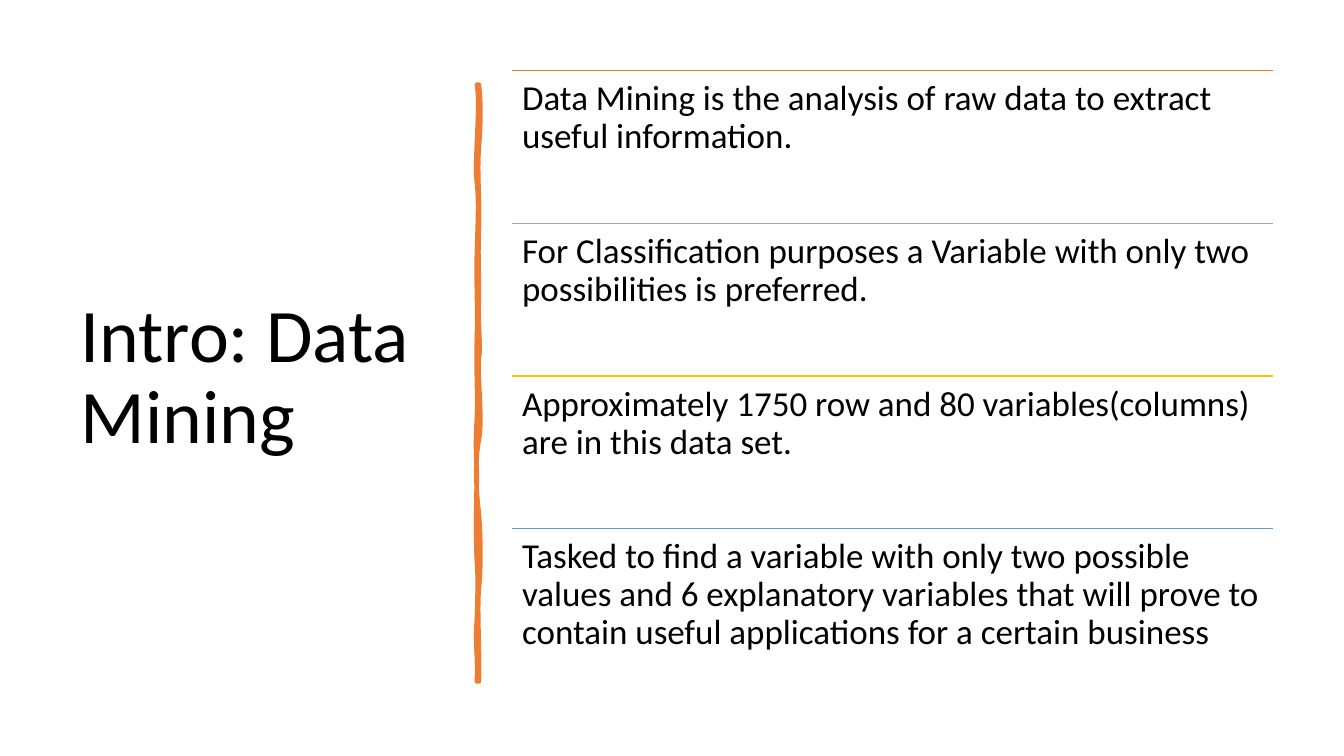
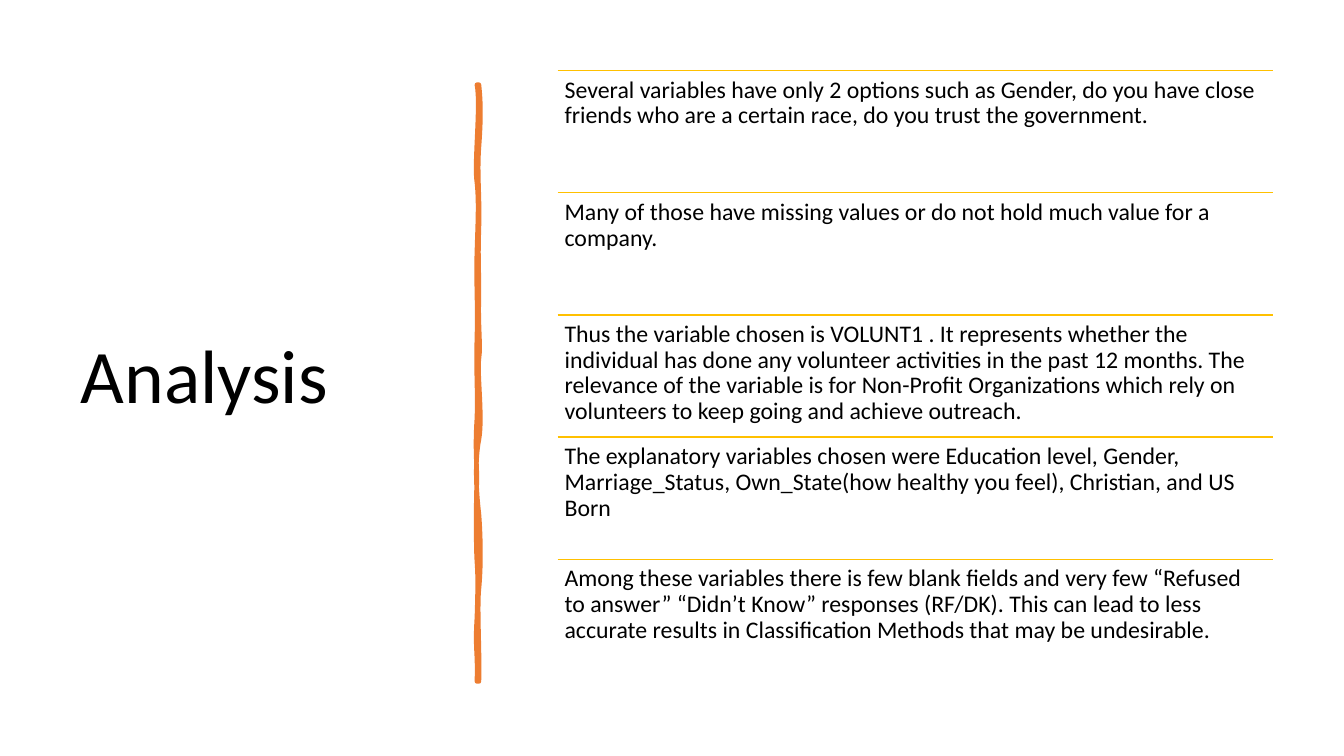
from lxml.etree import SubElement
from pptx import Presentation
from pptx.dml.color import RGBColor
from pptx.enum.shapes import MSO_CONNECTOR
from pptx.enum.text import MSO_ANCHOR, MSO_AUTO_SIZE, PP_ALIGN
from pptx.oxml.ns import qn
from pptx.util import Inches, Pt

FONT = "Calibri"
BLACK, ORANGE, GRAY, GOLD, BLUE = "000000", "ED7D31", "A5A5A5", "FFC000", "5B9BD5"
LIST_TOP, LIST_RIGHT, LIST_HEIGHT = 0.7, 12.63, 6.06

SLIDES = [
    {
        "title": "Intro: Data Mining",
        "left": 5.08, "size": 25, "inset": 0.1,
        "rows": [
            (ORANGE, "Data Mining is the analysis of raw data to extract useful information."),
            (GRAY, "For Classification purposes a Variable with only two possibilities is preferred."),
            (GOLD, "Approximately 1750 row and 80 variables(columns) are in this data set."),
            (BLUE, "Tasked to find a variable with only two possible values and 6 explanatory "
                   "variables that will prove to contain useful applications for a certain business"),
        ],
    },
    {
        "title": "Analysis",
        "left": 5.53, "size": 17, "inset": 0.07,
        "rows": [
            (GOLD, "Several variables have only 2 options such as Gender, do you have close "
                   "friends who are a certain race, do you trust the government."),
            (GOLD, "Many of those have missing values or do not hold much value for a company."),
            (GOLD, "Thus the variable chosen is VOLUNT1 . It represents whether the individual "
                   "has done any volunteer activities in the past 12 months. The relevance of the "
                   "variable is for Non-Profit Organizations which rely on volunteers to keep going "
                   "and achieve outreach."),
            (GOLD, "The explanatory variables chosen were Education level, Gender, Marriage_Status, "
                   "Own_State(how healthy you feel), Christian, and US Born"),
            (GOLD, "Among these variables there is few blank fields and very few “Refused to answer” "
                   "“Didn’t Know” responses (RF/DK). This can lead to less accurate results in "
                   "Classification Methods that may be undesirable."),
        ],
    },
]

BRUSH_START = (4.75, 0.84)
BRUSH_CURVES = [
    ((4.77, 1.02), (4.77, 1.19), (4.75, 1.46)),
    ((4.73, 1.73), (4.76, 1.95), (4.75, 2.26)),
    ((4.74, 2.57), (4.75, 2.62), (4.75, 2.94)),
    ((4.74, 3.25), (4.77, 3.42), (4.75, 3.56)),
    ((4.73, 3.7), (4.79, 4.14), (4.75, 4.36)),
    ((4.71, 4.57), (4.72, 4.84), (4.75, 5.1)),
    ((4.77, 5.36), (4.77, 5.64), (4.75, 5.84)),
    ((4.73, 6.03), (4.76, 6.5), (4.75, 6.76)),
    ((4.74, 6.76), (4.73, 6.76), (4.73, 6.76)),
    ((4.74, 6.46), (4.71, 6.44), (4.73, 6.13)),
    ((4.74, 5.83), (4.74, 5.7), (4.73, 5.57)),
    ((4.72, 5.44), (4.72, 4.95), (4.73, 4.77)),
    ((4.73, 4.59), (4.71, 4.45), (4.73, 4.15)),
    ((4.74, 3.86), (4.72, 3.73), (4.73, 3.35)),
    ((4.74, 2.98), (4.72, 2.81), (4.73, 2.5)),
    ((4.74, 2.18), (4.75, 2), (4.73, 1.81)),
    ((4.7, 1.63), (4.77, 1.04), (4.73, 0.84)),
]


def color(value):
    return RGBColor.from_string(value)


def to_emu(point):
    return tuple(Inches(value) for value in point)


def style_text(paragraph, size):
    paragraph.alignment = PP_ALIGN.LEFT
    paragraph.line_spacing = 0.9
    paragraph.font.name = FONT
    paragraph.font.size = Pt(size)
    paragraph.font.color.rgb = color(BLACK)


def add_title(page, text):
    title = page.shapes.title
    title.left, title.top = Inches(0.7), Inches(0.7)
    title.width, title.height = Inches(3.74), Inches(6.11)
    frame = title.text_frame
    frame.text = text
    frame.word_wrap = True
    frame.auto_size = MSO_AUTO_SIZE.NONE
    frame.vertical_anchor = MSO_ANCHOR.MIDDLE
    style_text(frame.paragraphs[0], 54)


def bend_segments(shape, curves):
    segments = list(shape._element.iter(qn("a:lnTo")))
    for segment, curve in zip(segments, curves):
        segment.tag = qn("a:cubicBezTo")
        for old_point in list(segment):
            segment.remove(old_point)
        for x, y in map(to_emu, curve):
            SubElement(segment, qn("a:pt"), x=str(x - shape.left), y=str(y - shape.top))


def add_brush_stroke(page):
    builder = page.shapes.build_freeform(*to_emu(BRUSH_START))
    builder.add_line_segments([to_emu(curve[-1]) for curve in BRUSH_CURVES], close=True)
    stroke = builder.convert_to_shape()
    bend_segments(stroke, BRUSH_CURVES)
    stroke.shadow.inherit = False
    stroke.fill.solid()
    stroke.fill.fore_color.rgb = color(ORANGE)
    stroke.line.color.rgb = color(ORANGE)
    stroke.line.width = Pt(3.25)
    outline = stroke.line._get_or_add_ln()
    outline.set("cap", "rnd")
    SubElement(outline, qn("a:round"))


def add_row(page, content, top, height, rule_color, text):
    left, right = Inches(content["left"]), Inches(LIST_RIGHT)
    rule = page.shapes.add_connector(MSO_CONNECTOR.STRAIGHT, left, top, right, top)
    rule.line.color.rgb = color(rule_color)
    rule.line.width = Pt(1)
    SubElement(rule._element.spPr, qn("a:effectLst"))

    box = page.shapes.add_textbox(left, top, right - left, height)
    frame = box.text_frame
    frame.word_wrap = True
    inset = Inches(content["inset"])
    frame.margin_left = frame.margin_right = inset
    frame.margin_top = frame.margin_bottom = inset
    frame.text = text
    style_text(frame.paragraphs[0], content["size"])


def add_page(deck, content):
    page = deck.slides.add_slide(deck.slide_layouts.get_by_name("Title Only"))
    add_title(page, content["title"])
    add_brush_stroke(page)
    height = LIST_HEIGHT / len(content["rows"])
    for index, (rule_color, text) in enumerate(content["rows"]):
        add_row(page, content, Inches(LIST_TOP + index * height), Inches(height), rule_color, text)


def main():
    deck = Presentation()
    deck.slide_width, deck.slide_height = Inches(13.33), Inches(7.5)
    for content in SLIDES:
        add_page(deck, content)
    deck.save("out.pptx")


if __name__ == "__main__":
    main()
